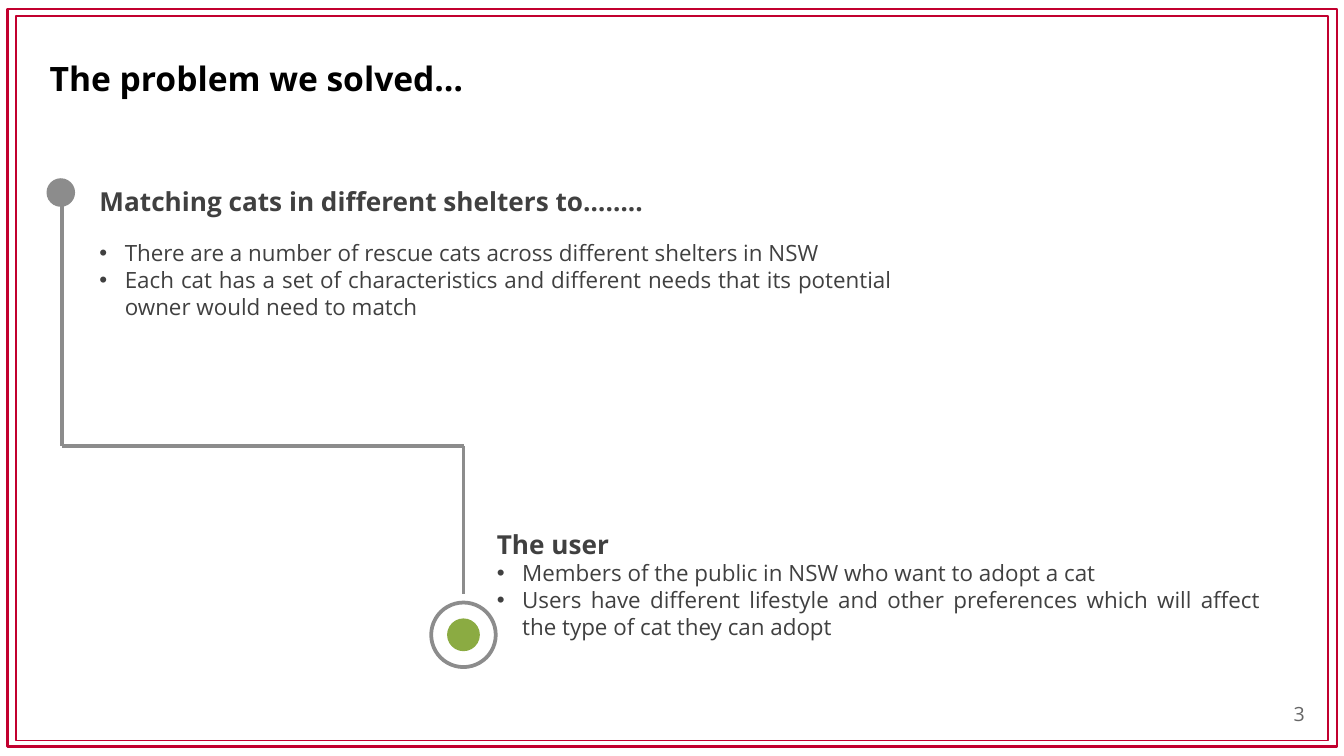
from lxml import etree
from pptx import Presentation
from pptx import util as u
from pptx.dml import color
from pptx.enum import shapes, text
from pptx.oxml import ns

Cm = u.Cm
HUES = {"red": "C2002F", "gray": "8C8C8C", "green": "8BAB42",
        "black": "000000", "dark": "404040", "page": "666666"}
FONT = "Open Sans"
KIND = shapes.MSO_SHAPE
ALIGN = text.PP_ALIGN

deck = Presentation()
deck.slide_width, deck.slide_height = Cm(25.4), Cm(14.29)
slide = deck.slides.add_slide(deck.slide_layouts[6])


def hue(name):
    return color.RGBColor.from_string(HUES[name])


def write(frame, words, size=12, tint="dark", bold=False,
          align=ALIGN.JUSTIFY, bullet=False, after=0):
    """Add one paragraph, filling the frame's first one if it is empty."""
    para = frame.paragraphs[0]
    if para.runs:
        para = frame.add_paragraph()
    para.alignment = align
    para.space_after = u.Pt(after)
    run = para.add_run()
    run.text = words
    font = run.font
    font.name, font.size, font.bold = FONT, u.Pt(size), bold
    font.color.rgb = hue(tint)
    if bullet:
        props = para._p.get_or_add_pPr()
        props.set("marL", str(Cm(0.48)))
        props.set("indent", str(-Cm(0.48)))
        etree.SubElement(props, ns.qn("a:buFont")).set("typeface", "Arial")
        etree.SubElement(props, ns.qn("a:buChar")).set("char", "•")


# Double frame
for x, y, w, h, width in [(0.15, 0.17, 25.12, 13.95, 1.5),
                          (0.3, 0.3, 24.8, 13.7, 0.75)]:
    edge = slide.shapes.add_shape(KIND.RECTANGLE, Cm(x), Cm(y), Cm(w), Cm(h))
    edge.shadow.inherit = False
    edge.fill.background()
    edge.line.color.rgb = hue("red")
    edge.line.width = u.Pt(width)

# Text boxes: title, page number, problem, user
frames = []
for x, y, w, h in [(0.69, 0.58, 19.89, 1.78), (23.39, 13.11, 1.52, 0.76),
                   (1.63, 3.38, 15.49, 2.77), (9.14, 9.86, 14.94, 2.39)]:
    frame = slide.shapes.add_textbox(Cm(x), Cm(y), Cm(w), Cm(h)).text_frame
    frame.word_wrap = True
    frames.append(frame)
title, page, cats, user = frames
title.vertical_anchor = page.vertical_anchor = text.MSO_ANCHOR.MIDDLE

write(title, "The problem we solved…", size=18, tint="black", bold=True,
      align=ALIGN.LEFT)
write(page, "3", size=10.5, tint="page", align=ALIGN.RIGHT)

write(cats, "Matching cats in different shelters to……..", size=14, bold=True,
      after=12.25)
write(user, "The user", size=14, bold=True, align=ALIGN.LEFT)
for frame, words in [
    (cats, "There are a number of rescue cats across different shelters in NSW"),
    (cats, "Each cat has a set of characteristics and different needs that its "
           "potential owner would need to match"),
    (user, "Members of the public in NSW who want to adopt a cat"),
    (user, "Users have different lifestyle and other preferences which will "
           "affect the type of cat they can adopt"),
]:
    write(frame, words, bullet=True)

# Stepped path from problem to user
left, right, turn = 1.17, 8.76, 8.43
stops = [(left, 3.63), (left, turn), (right, turn), (right, 11.23)]
for (x1, y1), (x2, y2) in zip(stops, stops[1:]):
    line = slide.shapes.add_connector(shapes.MSO_CONNECTOR.STRAIGHT,
                                      Cm(x1), Cm(y1), Cm(x2), Cm(y2))
    line.line.color.rgb = hue("gray")
    line.line.width = u.Pt(2)
    etree.SubElement(line._element.spPr, ns.qn("a:effectLst"))

# Start dot, then end ring with its green core
for x, y, size, tint in [(1.15, 3.64, 0.54, "gray"), (right, 12, 1.22, None),
                         (right, 12, 0.62, "green")]:
    dot = slide.shapes.add_shape(KIND.OVAL, Cm(x - size / 2),
                                 Cm(y - size / 2), Cm(size), Cm(size))
    dot.shadow.inherit = False
    if tint:
        dot.fill.solid()
        dot.fill.fore_color.rgb = hue(tint)
        dot.line.fill.background()
    else:
        dot.fill.background()
        dot.line.color.rgb = hue("gray")
        dot.line.width = u.Pt(2)

deck.save("out.pptx")
